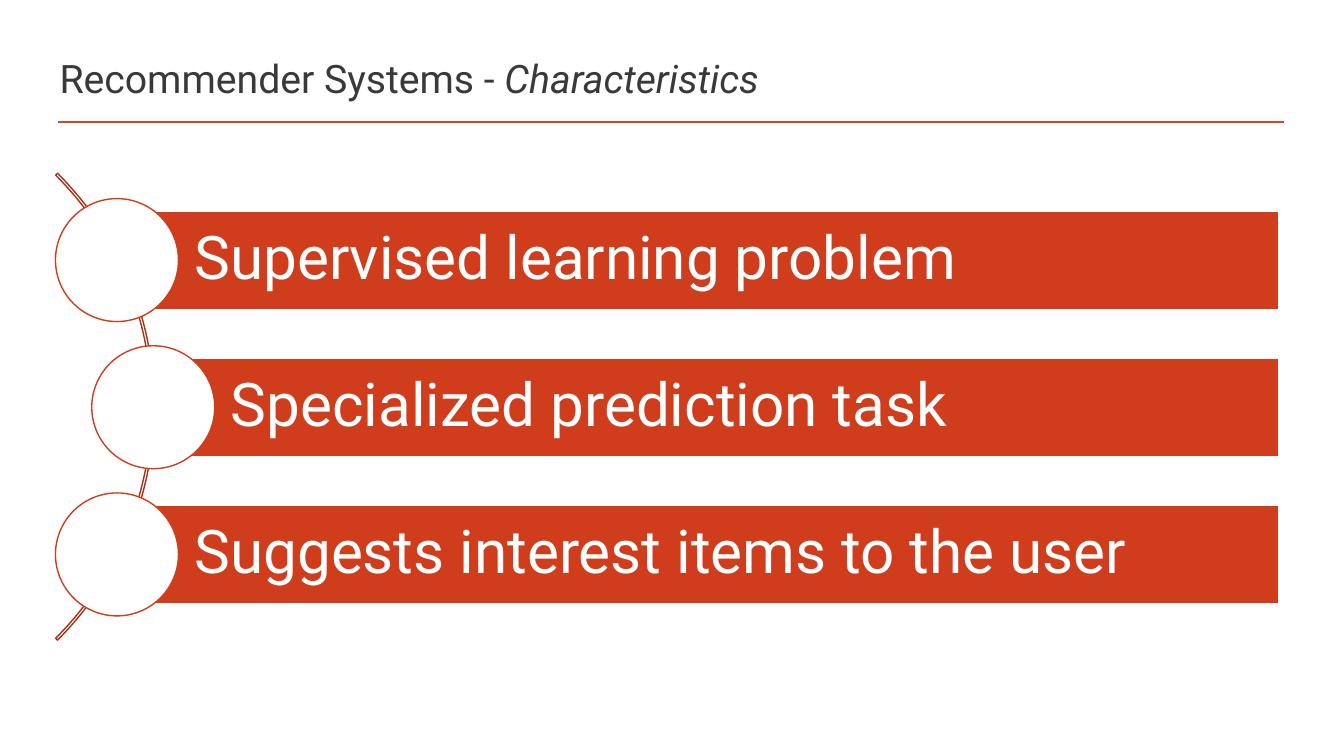
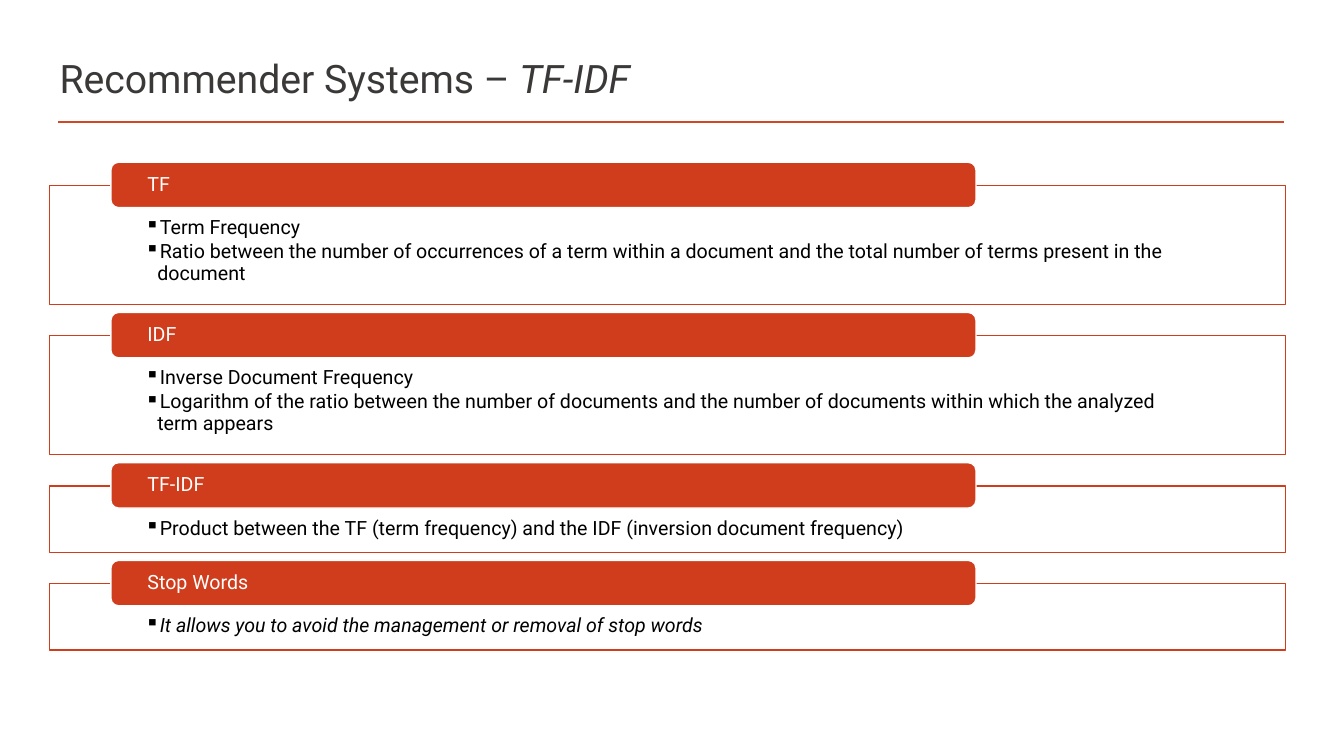
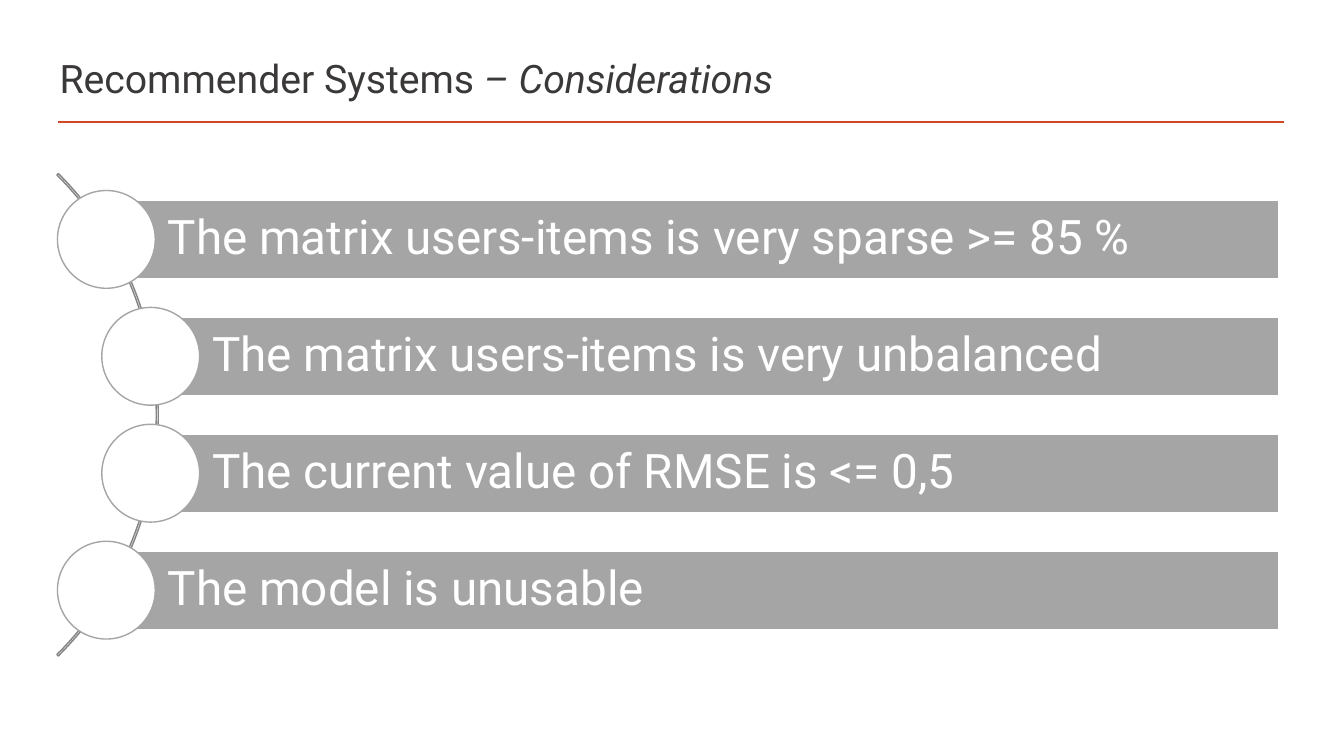
"""Build three slides about recommender systems."""
from dataclasses import dataclass

from lxml import etree
from pptx import Presentation
from pptx import util as u
from pptx.dml import color
from pptx.enum import shapes, text
from pptx.oxml import ns

FONT = "Roboto"
WHITE, BLACK, TITLE_GRAY = "FFFFFF", "000000", "3B3838"
RED, DARK_RED, RULE_RED = "CF3D1C", "A63116", "D24726"
GRAY, DARK_GRAY = "A5A5A5", "848484"
BAR_RIGHT = 12.68
PANEL_LEFT, PANEL_WIDTH = 0.49, 12.26
PANEL_TOP, PANEL_GAP = 1.84, 0.31


@dataclass
class ArcList:
    """Bars with circles strung along an arc."""
    items: list[str]
    indents: list[float]
    fill: str
    arc_line: str
    arc_box: tuple[float, float, float]
    arc_thickness: float
    circle_left: float
    circle_top: float
    diameter: float
    step: float
    inset_left: float
    inset: float
    size: float


@dataclass
class Panel:
    """Outlined panel with a heading tab and bullets."""
    heading: str
    bullets: list[str]
    height: float
    italic: bool = False


def rgb(value: str) -> color.RGBColor:
    """Turn a hex string into a colour."""
    return color.RGBColor.from_string(value)


def add_run(paragraph, content: str, *, size: float, fill: str, italic: bool = False) -> None:
    """Append a formatted run to a paragraph."""
    run = paragraph.add_run()
    run.text = content
    run.font.name = FONT
    run.font.size = u.Pt(size)
    run.font.italic = italic
    run.font.color.rgb = rgb(fill)


def add_box(slide, kind, left: float, top: float, width: float, height: float,
            *, line: str, fill: str | None = None):
    """Add a preset shape with a one-point outline."""
    shape = slide.shapes.add_shape(kind, *map(u.Inches, (left, top, width, height)))
    shape.shadow.inherit = False
    if fill:
        shape.fill.solid()
        shape.fill.fore_color.rgb = rgb(fill)
    else:
        shape.fill.background()
    shape.line.color.rgb = rgb(line)
    shape.line.width = u.Pt(1)
    return shape


def write_lines(shape, lines: list[str], *, size: float, fill: str,
                insets: tuple[float, float, float, float], anchor=text.MSO_ANCHOR.MIDDLE,
                bullet: str = "", italic: bool = False) -> None:
    """Fill a shape with left-aligned paragraphs; insets run left, top, right, bottom."""
    frame = shape.text_frame
    frame.word_wrap = True
    frame.vertical_anchor = anchor
    frame.margin_left, frame.margin_top, frame.margin_right, frame.margin_bottom = map(u.Inches, insets)
    for index, content in enumerate(lines):
        paragraph = frame.add_paragraph() if index else frame.paragraphs[0]
        if bullet:
            properties = paragraph._p.get_or_add_pPr()
            properties.set("marL", str(u.Inches(0.12)))
            properties.set("indent", str(-u.Inches(0.12)))
            etree.SubElement(properties, ns.qn("a:buChar"), char=bullet)
        paragraph.alignment = text.PP_ALIGN.LEFT
        paragraph.line_spacing = 0.9
        if index < len(lines) - 1:
            paragraph.space_after = u.Pt(size * 0.15)
        add_run(paragraph, content, size=size, fill=fill, italic=italic)


def add_titled_slide(presentation, plain: str, emphasis: str):
    """Add a slide with its title and the rule below it."""
    slide = presentation.slides.add_slide(presentation.slide_layouts[5])
    rule = slide.shapes.add_connector(shapes.MSO_CONNECTOR.STRAIGHT, u.Inches(0.58), u.Inches(1.21),
                                      u.Inches(12.74), u.Inches(1.21))
    rule.line.color.rgb = rgb(RULE_RED)
    rule.line.width = u.Pt(2)
    etree.SubElement(rule._element.spPr, ns.qn("a:effectLst"))
    title = slide.shapes.title
    title.left, title.top, title.width, title.height = map(u.Inches, (0.49, 0.47, 12.26, 0.61))
    title.text_frame.auto_size = text.MSO_AUTO_SIZE.NONE
    title.text_frame.vertical_anchor = text.MSO_ANCHOR.MIDDLE
    paragraph = title.text_frame.paragraphs[0]
    paragraph.alignment = text.PP_ALIGN.LEFT
    add_run(paragraph, plain, size=28, fill=TITLE_GRAY)
    add_run(paragraph, emphasis, size=28, fill=TITLE_GRAY, italic=True)
    return slide


def draw_arc_list(slide, arc_list: ArcList) -> None:
    """Draw the arc, then each bar with its circle."""
    left, top, side = arc_list.arc_box
    arc = add_box(slide, shapes.MSO_SHAPE.BLOCK_ARC, left, top, side, side, line=arc_list.arc_line)
    for index, value in enumerate((189, 27, arc_list.arc_thickness)):
        arc.adjustments[index] = value
    diameter, inset = arc_list.diameter, arc_list.inset
    bar_height = diameter * 0.8
    for index, (item, indent) in enumerate(zip(arc_list.items, arc_list.indents)):
        circle_left = arc_list.circle_left + indent
        circle_top = arc_list.circle_top + index * arc_list.step
        bar_left = circle_left + diameter / 2
        bar = add_box(slide, shapes.MSO_SHAPE.RECTANGLE, bar_left, circle_top + diameter * 0.1,
                      BAR_RIGHT - bar_left, bar_height, line=WHITE, fill=arc_list.fill)
        write_lines(bar, [item], size=arc_list.size, fill=WHITE,
                    insets=(arc_list.inset_left, inset, inset, inset))
        add_box(slide, shapes.MSO_SHAPE.OVAL, circle_left, circle_top, diameter, diameter,
                line=arc_list.fill, fill=WHITE)


def draw_panels(slide, panels: list[Panel]) -> None:
    """Stack the panels with equal gaps."""
    top = PANEL_TOP
    for panel in panels:
        body = add_box(slide, shapes.MSO_SHAPE.RECTANGLE, PANEL_LEFT, top, PANEL_WIDTH, panel.height,
                       line=RED, fill=WHITE)
        write_lines(body, panel.bullets, size=14, fill=BLACK, insets=(0.95, 0.32, 0.95, 0.11),
                    anchor=text.MSO_ANCHOR.TOP, bullet="▪", italic=panel.italic)
        tab = add_box(slide, shapes.MSO_SHAPE.ROUNDED_RECTANGLE, 1.1, top - 0.23, 8.58, 0.45,
                      line=WHITE, fill=RED)
        write_lines(tab, [panel.heading], size=14, fill=WHITE, insets=(0.34, 0, 0.34, 0))
        top += panel.height + PANEL_GAP


CHARACTERISTICS = ArcList(
    items=["Supervised learning problem", "Specialized prediction task", "Suggests interest items to the user"],
    indents=[0, 0.36, 0], fill=RED, arc_line=DARK_RED, arc_box=(-5.02, 0.76, 6.55), arc_thickness=0.004,
    circle_left=0.55, circle_top=1.97, diameter=1.22, step=1.46, inset_left=0.77, inset=0.12, size=43)

CONSIDERATIONS = ArcList(
    items=["The matrix users-items is very sparse >= 85 %", "The matrix users-items is very unbalanced",
           "The current value of RMSE is <= 0,5", "The model is unusable"],
    indents=[0, 0.44, 0.44, 0], fill=GRAY, arc_line=DARK_GRAY, arc_box=(-5.2, 0.73, 6.77), arc_thickness=0.003,
    circle_left=0.57, circle_top=1.89, diameter=0.97, step=1.16, inset_left=0.61, inset=0.09, size=34)

PANELS = [
    Panel("TF", ["Term Frequency",
                 "Ratio between the number of occurrences of a term within a document and the total number "
                 "of terms present in the document"], 1.18),
    Panel("IDF", ["Inverse Document Frequency",
                  "Logarithm of the ratio between the number of documents and the number of documents "
                  "within which the analyzed term appears"], 1.18),
    Panel("TF-IDF", ["Product between the TF (term frequency) and the IDF (inversion document frequency)"], 0.66),
    Panel("Stop Words", ["It allows you to avoid the management or removal of stop words"], 0.66, italic=True),
]


def main() -> None:
    """Build and save the presentation."""
    presentation = Presentation()
    presentation.slide_width, presentation.slide_height = u.Inches(13.33), u.Inches(7.5)
    draw_arc_list(add_titled_slide(presentation, "Recommender Systems - ", "Characteristics"), CHARACTERISTICS)
    draw_panels(add_titled_slide(presentation, "Recommender Systems – ", "TF-IDF"), PANELS)
    draw_arc_list(add_titled_slide(presentation, "Recommender Systems", " – Considerations"), CONSIDERATIONS)
    presentation.save("out.pptx")


if __name__ == "__main__":
    main()
